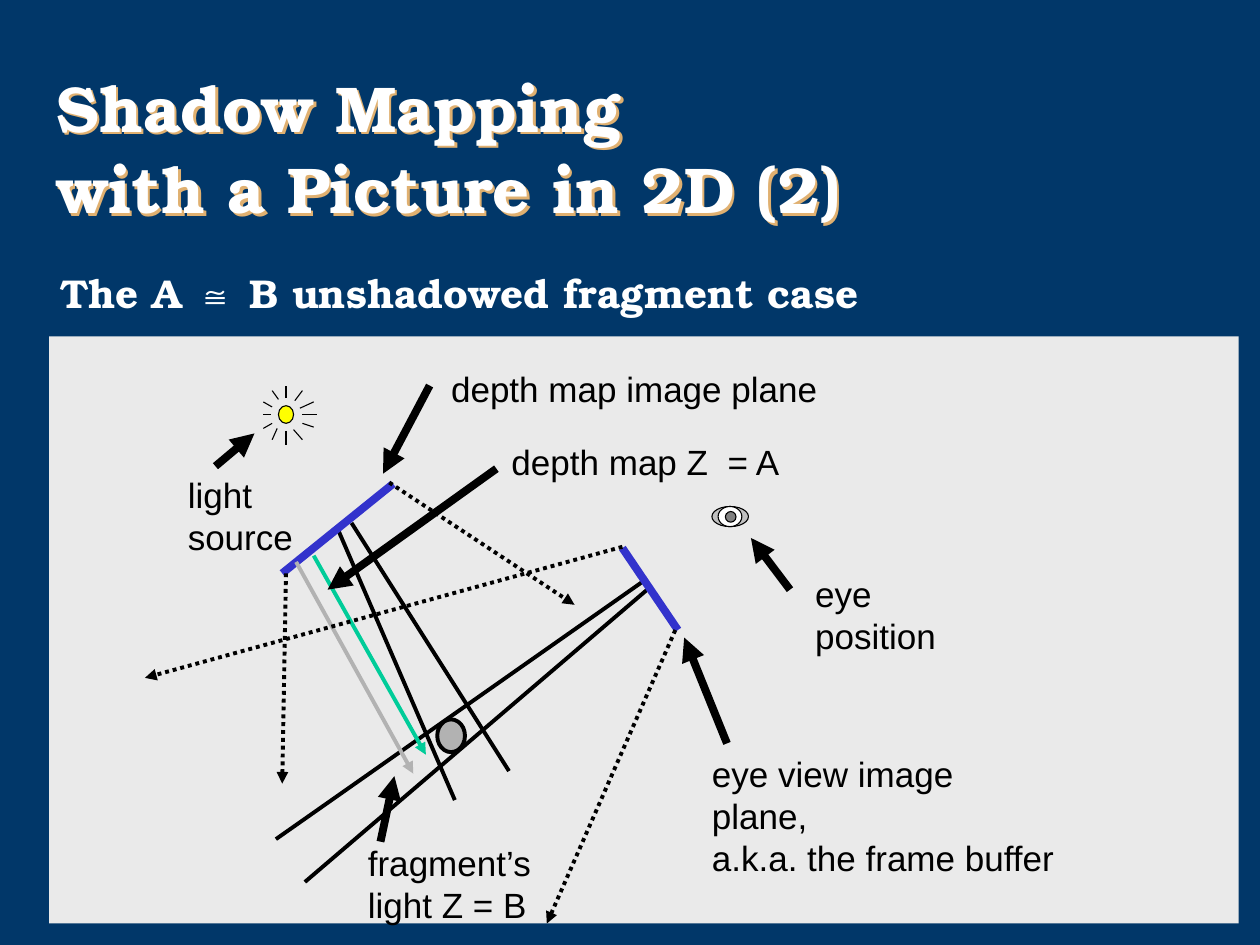
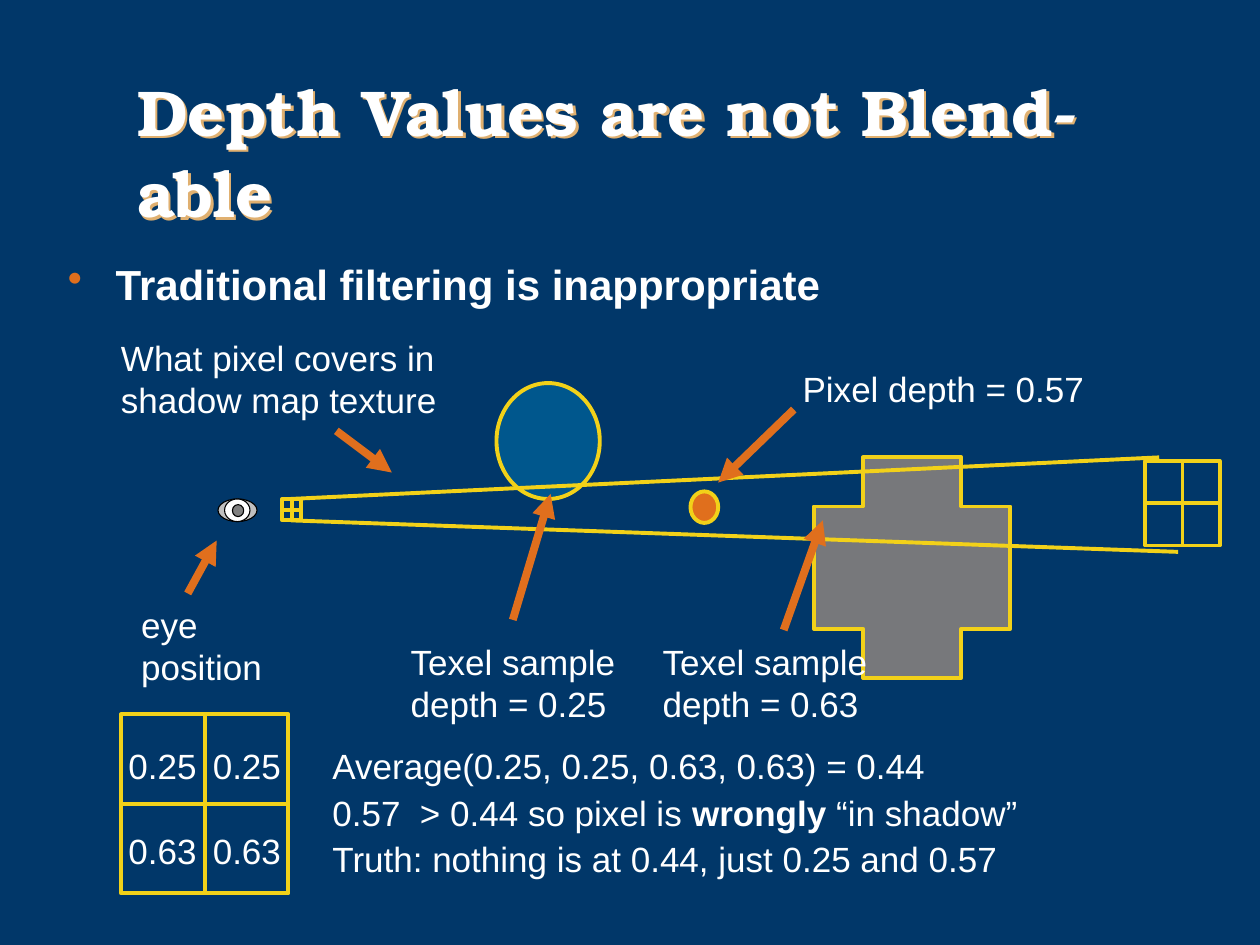
from lxml import etree
from pptx import Presentation
from pptx.dml.color import RGBColor
from pptx.enum.dml import MSO_LINE
from pptx.enum.shapes import MSO_CONNECTOR, MSO_SHAPE
from pptx.enum.text import MSO_ANCHOR, PP_ALIGN
from pptx.oxml.ns import qn
from pptx.util import Inches, Pt

NAVY = RGBColor(0x01, 0x37, 0x69)
WHITE = RGBColor(0xFF, 0xFF, 0xFF)
BLACK = RGBColor(0x00, 0x00, 0x00)
PANEL = RGBColor(0xEA, 0xEA, 0xEA)
SILVER = RGBColor(0xC0, 0xC0, 0xC0)
LIGHT_GRAY = RGBColor(0xB2, 0xB2, 0xB2)
GRAY = RGBColor(0x80, 0x80, 0x80)
SLATE = RGBColor(0x77, 0x78, 0x7B)
SUN = RGBColor(0xFF, 0xFF, 0x00)
PLANE_BLUE = RGBColor(0x33, 0x33, 0xCC)
RAY_GREEN = RGBColor(0x00, 0xCC, 0x99)
BALL_BLUE = RGBColor(0x00, 0x57, 0x8D)
GOLD = RGBColor(0xF2, 0xD1, 0x19)
ORANGE = RGBColor(0xE0, 0x6F, 0x1D)
TITLE_SHADOW = RGBColor(0xE0, 0xB0, 0x70)

SERIF = "TeX Gyre Bonum"
TITLE_FONT = {"name": SERIF, "size": Pt(37), "bold": True}
SUBTITLE_FONT = {"name": SERIF, "size": Pt(23), "bold": True}
BULLET_FONT = {"name": "Arial", "size": Pt(24), "bold": True}
LABEL_FONT = {"name": "Arial", "size": Pt(20), "bold": False}
THIN, MEDIUM, THICK = 0.62, 2.25, 4.5

SUN_RAYS = [
    (2.27, 3.16, 2.27, 3.06), (2.27, 3.42, 2.27, 3.53),
    (2.34, 3.18, 2.40, 3.10), (2.38, 3.24, 2.49, 3.19),
    (2.33, 3.41, 2.40, 3.49), (2.40, 3.36, 2.49, 3.39),
    (2.21, 3.17, 2.16, 3.10), (2.16, 3.23, 2.09, 3.19),
    (2.20, 3.40, 2.16, 3.49), (2.16, 3.36, 2.09, 3.40),
    (2.40, 3.29, 2.52, 3.29), (2.15, 3.29, 2.09, 3.29),
]
SIGHT_LINES = [
    (2.69, 4.22, 3.61, 6.35), (2.79, 4.15, 4.04, 6.12),
    (5.11, 4.61, 2.19, 6.66), (5.16, 4.66, 2.42, 7.00),
]
VIEW_LIMITS = [
    (4.94, 4.34, 1.15, 5.38), (5.36, 5.00, 4.34, 7.33),
    (2.27, 4.55, 2.24, 6.22), (3.09, 3.83, 4.56, 4.80),
]
MAPPING_POINTERS = [
    (1.71, 3.70, 2.02, 3.44), (6.27, 4.68, 5.96, 4.27),
    (3.94, 3.72, 2.60, 4.68), (3.02, 6.68, 3.13, 6.16),
    (3.41, 3.06, 3.04, 3.76), (5.77, 5.90, 5.43, 5.06),
]
MAPPING_LABELS = [
    ((1.49, 3.76, 0.91, 0.67), "light\nsource"),
    ((6.47, 4.54, 1.04, 0.67), "eye\nposition"),
    ((4.06, 3.50, 2.14, 0.33), "depth map Z  = A"),
    ((2.92, 6.68, 1.30, 0.67), "fragment’s\nlight Z = B"),
    ((3.58, 2.92, 2.91, 0.33), "depth map image plane"),
    ((5.65, 5.97, 2.75, 0.67), "eye view image plane,\na.k.a. the frame buffer"),
]
DEPTH_POINTERS = [
    (1.49, 4.71, 1.72, 4.29), (2.67, 3.42, 3.11, 3.75),
    (4.07, 4.92, 4.37, 3.92), (6.22, 5.00, 6.53, 4.13),
    (6.30, 3.25, 5.70, 3.83),
]
DEPTH_LABELS = [
    ((1.12, 4.79, 1.04, 0.67), "eye\nposition"),
    ((0.96, 2.67, 2.51, 0.67), "What pixel covers in\nshadow map texture"),
    ((3.26, 5.08, 1.66, 0.67), "Texel sample\ndepth = 0.25"),
    ((5.26, 5.08, 1.66, 0.67), "Texel sample\ndepth = 0.63"),
    ((6.37, 2.92, 2.24, 0.33), "Pixel depth = 0.57"),
]


def add_slide(deck):
    """Add a blank slide with the navy background."""
    slide = deck.slides.add_slide(deck.slide_layouts[6])
    slide.background.fill.solid()
    slide.background.fill.fore_color.rgb = NAVY
    return slide


def add_outlined(slide, kind, box, fill=None, outline=None, weight=MEDIUM):
    """Add a preset shape with optional fill and outline."""
    shape = slide.shapes.add_shape(kind, *map(Inches, box))
    shape.shadow.inherit = False
    if fill is None:
        shape.fill.background()
    else:
        shape.fill.solid()
        shape.fill.fore_color.rgb = fill
    if outline is None:
        shape.line.fill.background()
    else:
        shape.line.color.rgb = outline
        shape.line.width = Pt(weight)
    return shape


def add_line(slide, ends, color, weight=MEDIUM, arrow=False, dotted=False):
    """Draw a straight line, optionally dotted or with an arrowhead."""
    line = slide.shapes.add_connector(MSO_CONNECTOR.STRAIGHT, *map(Inches, ends))
    line.line.color.rgb = color
    line.line.width = Pt(weight)
    if dotted:
        line.line.dash_style = MSO_LINE.ROUND_DOT
    if arrow:
        stroke = line.line._get_or_add_ln()
        etree.SubElement(stroke, qn("a:tailEnd"), type="triangle")
    etree.SubElement(line._element.spPr, qn("a:effectLst"))


def add_lines(slide, all_ends, color, **style):
    """Draw several lines in one style."""
    for ends in all_ends:
        add_line(slide, ends, color, **style)


def add_text(slide, box, runs, base_font, color=WHITE, insets=(0.1, 0.05), wrap=False, **paragraph_format):
    """Add one paragraph made of (text, font changes) runs."""
    frame_box = slide.shapes.add_textbox(*map(Inches, box))
    frame = frame_box.text_frame
    across, down = map(Inches, insets)
    frame_format = {"word_wrap": wrap, "margin_left": across, "margin_right": across,
                    "margin_top": down, "margin_bottom": down}
    for attribute, value in frame_format.items():
        setattr(frame, attribute, value)
    paragraph = frame.paragraphs[0]
    for attribute, value in paragraph_format.items():
        setattr(paragraph, attribute, value)
    for text, changes in runs:
        for index, part in enumerate(text.split("\n")):
            if index:
                paragraph.add_line_break()
            run = paragraph.add_run()
            run.text = part
            run.font.color.rgb = color
            for attribute, value in {**base_font, **changes}.items():
                setattr(run.font, attribute, value)
    return frame_box


def add_title(slide, box, text):
    """Add the serif title with its warm offset shadow."""
    title = add_text(slide, box, [(text, {})], TITLE_FONT, wrap=True, line_spacing=1.05)
    title.text_frame.vertical_anchor = MSO_ANCHOR.MIDDLE
    effects = etree.SubElement(title._element.spPr, qn("a:effectLst"))
    shadow = etree.SubElement(effects, qn("a:outerShdw"), dist=str(Pt(2)), dir="2700000")
    etree.SubElement(shadow, qn("a:srgbClr"), val=str(TITLE_SHADOW))


def add_bullet(slide, box, text):
    """Add a bold line with an orange bullet and a hanging indent."""
    item = add_text(slide, box, [(text, {})], BULLET_FONT, wrap=True)
    properties = item.text_frame.paragraphs[0]._p.get_or_add_pPr()
    indent = Inches(0.38)
    properties.set("marL", str(indent))
    properties.set("indent", str(-indent))
    bullet_color = etree.SubElement(properties, qn("a:buClr"))
    etree.SubElement(bullet_color, qn("a:srgbClr"), val=str(ORANGE))
    etree.SubElement(properties, qn("a:buChar"), char="•")


def add_labels(slide, labels, color):
    """Add the plain captions of a diagram."""
    for box, text in labels:
        add_text(slide, box, [(text, {})], LABEL_FONT, color, insets=(0, 0))


def add_eye(slide, left, top, width, height):
    """Draw an eye from three nested ellipses."""
    parts = [(0, 0, 1, 1, SILVER), (0.17, 0, 0.65, 1, WHITE), (0.37, 0.25, 0.29, 0.53, GRAY)]
    for x, y, w, h, fill in parts:
        box = (left + x * width, top + y * height, w * width, h * height)
        add_outlined(slide, MSO_SHAPE.OVAL, box, fill, BLACK, THIN)


def add_texel_grid(slide, left, top, width, height):
    """Draw a two by two grid of texels."""
    add_outlined(slide, MSO_SHAPE.RECTANGLE, (left, top, width, height), outline=GOLD)
    middle, center = top + height / 2, left + width / 2
    add_line(slide, (left, middle, left + width, middle), GOLD)
    add_line(slide, (center, top, center, top + height), GOLD)


def build_mapping_slide(deck):
    """Build the slide on the unshadowed fragment case."""
    slide = add_slide(deck)
    add_outlined(slide, MSO_SHAPE.RECTANGLE, (0.39, 2.67, 9.44, 4.66), PANEL)
    subtitle = [("The A ", {}), ("≅", {"name": "Arial"}), (" B unshadowed fragment case", {})]
    add_text(slide, (0.38, 2.08, 9.37, 0.5), subtitle, SUBTITLE_FONT, wrap=True)
    add_title(slide, (0.35, 0.39, 6.99, 1.52), "Shadow Mapping\nwith a Picture in 2D (2)")

    add_eye(slide, 5.65, 4.02, 0.29, 0.16)
    add_outlined(slide, MSO_SHAPE.OVAL, (2.21, 3.22, 0.12, 0.14), SUN, BLACK, THIN)
    add_lines(slide, SUN_RAYS, BLACK, weight=THIN)

    add_lines(slide, SIGHT_LINES, BLACK)
    add_outlined(slide, MSO_SHAPE.OVAL, (3.47, 5.71, 0.22, 0.26), LIGHT_GRAY, BLACK)
    image_planes = [(2.24, 4.55, 3.12, 3.84), (4.94, 4.35, 5.38, 5.00)]
    add_lines(slide, image_planes, PLANE_BLUE, weight=THICK)
    add_line(slide, (2.49, 4.41, 3.38, 5.99), RAY_GREEN, arrow=True)
    add_line(slide, (2.35, 4.46, 3.28, 6.14), LIGHT_GRAY, arrow=True)
    add_lines(slide, MAPPING_POINTERS, BLACK, weight=THICK, arrow=True)
    add_lines(slide, VIEW_LIMITS, BLACK, arrow=True, dotted=True)
    add_labels(slide, MAPPING_LABELS, BLACK)


def build_depth_slide(deck):
    """Build the slide on why depth values cannot be blended."""
    slide = add_slide(deck)
    add_title(slide, (0.99, 0.87, 8.5, 0.63), "Depth Values are not Blend-able")
    add_bullet(slide, (0.44, 2, 9.37, 0.6), "Traditional filtering is inappropriate")

    add_outlined(slide, MSO_SHAPE.OVAL, (3.94, 3.04, 0.82, 0.92), BALL_BLUE, GOLD)
    add_outlined(slide, MSO_SHAPE.CROSS, (6.46, 3.63, 1.56, 1.75), SLATE, GOLD)
    add_eye(slide, 1.73, 3.96, 0.31, 0.18)
    pixel_bounds = [(2.31, 3.96, 9.20, 3.63), (2.31, 4.13, 9.35, 4.38)]
    add_lines(slide, pixel_bounds, GOLD)
    for grid in [(0.96, 5.67, 1.33, 1.42), (9.09, 3.66, 0.59, 0.67), (2.24, 3.96, 0.15, 0.17)]:
        add_texel_grid(slide, *grid)
    add_outlined(slide, MSO_SHAPE.OVAL, (5.48, 3.9, 0.22, 0.25), ORANGE, GOLD)
    add_lines(slide, DEPTH_POINTERS, ORANGE, weight=THICK, arrow=True)
    add_labels(slide, DEPTH_LABELS, WHITE)

    for row, depth in enumerate(["0.25", "0.63"]):
        for column in range(2):
            cell = (0.92 + 0.67 * column, 5.83 + 0.67 * row, 0.74, 0.46)
            add_text(slide, cell, [(depth, {})], LABEL_FONT,
                     alignment=PP_ALIGN.CENTER, line_spacing=1.1)
    conclusion = [
        ("Average(0.25, 0.25, 0.63, 0.63) = 0.44\n0.57  > 0.44 so pixel is ", {}),
        ("wrongly", {"bold": True}),
        (" “in shadow”\nTruth: nothing is at 0.44, just 0.25 and 0.57", {}),
    ]
    add_text(slide, (2.54, 5.83, 5.64, 1.2), conclusion, LABEL_FONT, line_spacing=1.1)


def main():
    """Build and save the deck."""
    deck = Presentation()
    deck.slide_width, deck.slide_height = Inches(10), Inches(7.5)
    build_mapping_slide(deck)
    build_depth_slide(deck)
    deck.save("out.pptx")


if __name__ == "__main__":
    main()
